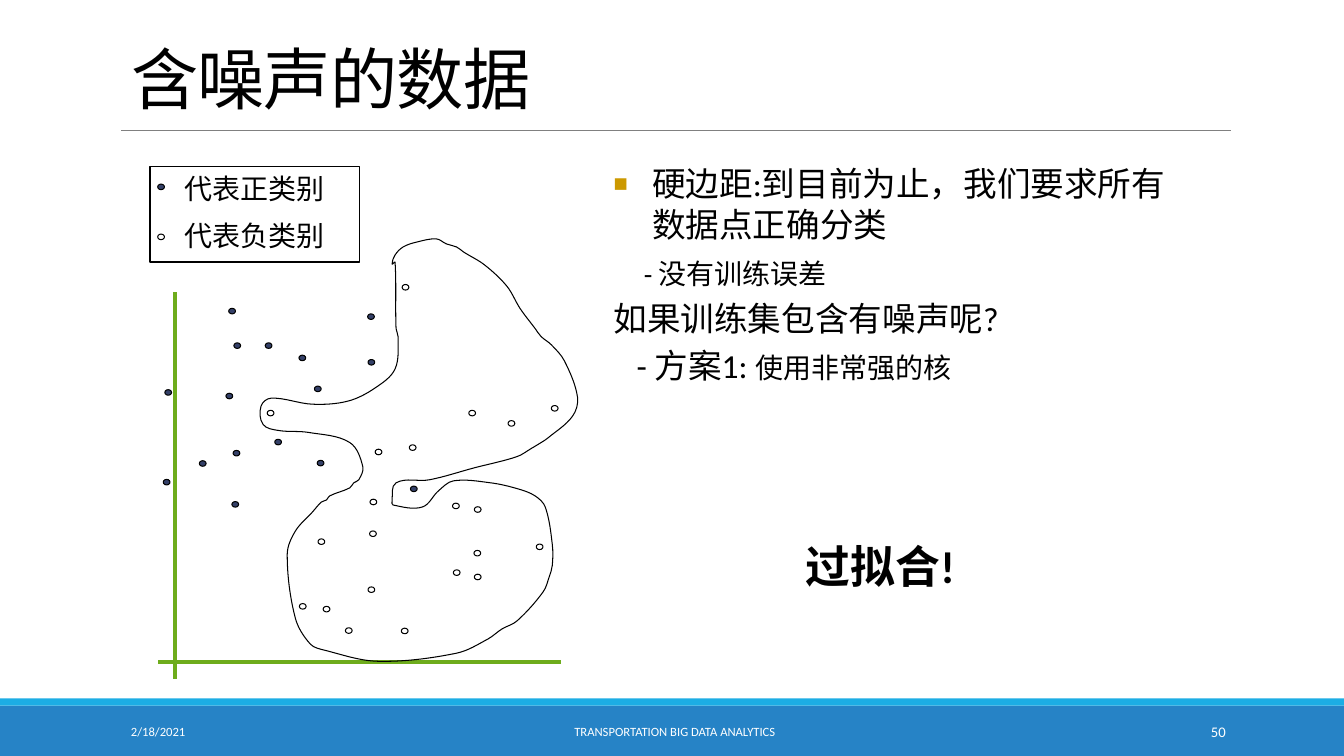
"""Build the slide on noisy data and overfitting."""
from dataclasses import dataclass

from lxml.etree import SubElement
from pptx import Presentation
from pptx.dml.color import RGBColor
from pptx.enum.shapes import MSO_CONNECTOR, MSO_SHAPE
from pptx.enum.text import MSO_ANCHOR, MSO_AUTO_SIZE, PP_ALIGN
from pptx.oxml.ns import qn
from pptx.util import Cm, Pt


@dataclass(frozen=True)
class Theme:
    font: str = "Calibri"
    ink: str = "000000"
    paper: str = "FFFFFF"
    rule: str = "808080"
    footer: str = "2683C6"
    stripe: str = "1CADE4"
    bullet: str = "CC9900"
    axis: str = "6EAC1C"
    positive: str = "344068"
    title: float = 48
    callout: float = 32
    body: float = 24
    detail: float = 20
    number: float = 10.5
    small: float = 9


POSITIVE = [
    (4.2, 12.15), (9.36, 9.13), (6.77, 8.71), (8.08, 11.67), (5.78, 9.98), (5.98, 8.71),
    (5.96, 11.42), (8.01, 9.8), (5.93, 12.71), (9.35, 7.98), (5.85, 7.84), (7.01, 11.14),
    (5.11, 11.68), (7.62, 9.02), (4.24, 9.89), (10.43, 12.32),
]
NEGATIVE = [
    (7.63, 15.28), (9.54, 11.39), (11.49, 12.75), (8.1, 13.65), (13.98, 10.29), (12.03, 13.94),
    (10.4, 11.28), (13.6, 13.78), (8.79, 15.89), (12.04, 12.84), (9.41, 12.65), (12.89, 10.67),
    (11.9, 10.41), (11.51, 14.43), (10.2, 15.9), (9.36, 14.86), (9.4, 13.45), (8.23, 15.35),
    (12.04, 14.54), (6.82, 10.41), (10.22, 7.24),
]
BOUNDARY_UNIT = 0.0254
BOUNDARY = [
    (392, 260), (393, 326), (395, 334), (392, 366), (372, 385), (345, 398), (310, 401),
    (269, 395), (259, 403), (261, 421), (276, 427), (306, 429), (347, 439), (360, 463),
    (356, 476), (351, 479), (347, 484), (327, 492), (324, 496), (319, 498), (310, 508),
    (293, 527), (285, 550), (293, 613), (308, 639), (322, 645), (375, 656), (453, 648),
    (484, 634), (498, 624), (513, 616), (539, 587), (545, 572), (548, 561), (548, 540),
    (541, 503), (531, 492), (514, 485), (487, 479), (450, 477), (435, 487), (419, 503),
    (390, 501), (389, 497), (393, 479), (426, 476), (471, 464), (513, 453), (527, 445),
    (537, 439), (543, 435), (568, 413), (573, 394), (560, 358), (547, 342), (537, 334),
    (531, 326), (516, 306), (503, 284), (481, 263), (460, 250), (453, 245), (443, 242),
    (433, 237), (414, 240), (400, 245), (392, 253), (389, 262),
]


def smooth_controls(corners):
    """Return each segment of a closed curve as two control points and an end."""
    knots = [complex(x, y) for x, y in corners]
    count = len(knots)
    chords = [knots[(i + 1) % count] - knots[i - 1] for i in range(count)]
    headings = [chord / abs(chord) for chord in chords]
    segments = []
    for i, start in enumerate(knots):
        after = (i + 1) % count
        end = knots[after]
        reach = abs(end - start) / 3
        segments.append((start + headings[i] * reach, end - headings[after] * reach, end))
    return segments


class SlideBuilder:
    """Hold the theme and the current slide, and draw its elements."""

    def __init__(self, deck, theme):
        self.theme = theme
        self.slide = deck.slides.add_slide(deck.slide_layouts[1])
        self.shapes = self.slide.shapes

    def style(self, font, size, color=None, **extra):
        font.color.rgb = RGBColor.from_string(color or self.theme.ink)
        for name, value in {"name": self.theme.font, "size": Pt(size), **extra}.items():
            setattr(font, name, value)

    def place(self, item, left, top, width, height):
        box = {"left": left, "top": top, "width": width, "height": height}
        for name, value in box.items():
            setattr(item, name, Cm(value))

    def frame(self, item, **formats):
        defaults = {"word_wrap": True, "auto_size": MSO_AUTO_SIZE.NONE}
        for name, value in {**defaults, **formats}.items():
            setattr(item.text_frame, name, value)
        return item.text_frame

    def outline(self, item, color, width):
        item.line.color.rgb = RGBColor.from_string(color)
        item.line.width = Pt(width)

    def title(self, text, *box):
        heading = self.shapes.title
        self.place(heading, *box)
        paragraph = self.frame(heading, vertical_anchor=MSO_ANCHOR.BOTTOM).paragraphs[0]
        paragraph.alignment = PP_ALIGN.LEFT
        paragraph.line_spacing = 0.85
        run = paragraph.add_run()
        run.text = text
        self.style(run.font, self.theme.title)
        run.font._element.set("spc", "-50")

    def body(self, items, *box):
        points = self.slide.placeholders[1]
        self.place(points, *box)
        frame = self.frame(points, vertical_anchor=MSO_ANCHOR.TOP)
        for i, (indent, bulleted, gap, runs) in enumerate(items):
            paragraph = frame.add_paragraph() if i else frame.paragraphs[0]
            self.bullet(paragraph, indent, bulleted)
            paragraph.space_before = Pt(gap)
            for text, size in runs:
                run = paragraph.add_run()
                run.text = text
                self.style(run.font, size)

    def bullet(self, paragraph, indent, bulleted):
        props = paragraph._p.get_or_add_pPr()
        props.set("marL", str(Cm(indent)))
        props.set("indent", str(Cm(-indent if bulleted else 0)))
        if not bulleted:
            SubElement(props, qn("a:buNone"))
            return
        SubElement(SubElement(props, qn("a:buClr")), qn("a:srgbClr"), val=self.theme.bullet)
        SubElement(props, qn("a:buSzPct"), val="45000")
        SubElement(props, qn("a:buFont"), typeface=self.theme.font)
        SubElement(props, qn("a:buChar"), char="■")

    def label(self, text, box, size, color=None, align=PP_ALIGN.CENTER, wrap=True, **extra):
        note = self.shapes.add_textbox(*map(Cm, box))
        frame = self.frame(note, vertical_anchor=MSO_ANCHOR.MIDDLE, word_wrap=wrap)
        paragraph = frame.paragraphs[0]
        paragraph.text = text
        paragraph.alignment = align
        self.style(paragraph.font, size, color, **extra)

    def shape(self, kind, box, fill=None, line=None, width=0.75):
        item = self.shapes.add_shape(kind, *map(Cm, box))
        item.shadow.inherit = False
        if fill:
            item.fill.solid()
            item.fill.fore_color.rgb = RGBColor.from_string(fill)
        else:
            item.fill.background()
        if line:
            self.outline(item, line, width)
        else:
            item.line.fill.background()
        return item

    def legend(self, entries, *box):
        key = self.shape(MSO_SHAPE.RECTANGLE, box, line=self.theme.ink, width=1)
        frame = self.frame(key, vertical_anchor=MSO_ANCHOR.TOP)
        for i, entry in enumerate(entries):
            paragraph = frame.add_paragraph() if i else frame.paragraphs[0]
            paragraph.text = entry
            paragraph.alignment = PP_ALIGN.CENTER
            paragraph.space_before = Pt(10 if i else 0)
            self.style(paragraph.font, self.theme.detail)

    def dots(self, centres, fill, width=0.17, height=0.14):
        for x, y in centres:
            box = (x - width / 2, y - height / 2, width, height)
            self.shape(MSO_SHAPE.OVAL, box, fill, self.theme.ink)

    def line(self, ends, color, width):
        rule = self.shapes.add_connector(MSO_CONNECTOR.STRAIGHT, *map(Cm, ends))
        self.outline(rule, color, width)
        SubElement(rule._element.spPr, qn("a:effectLst"))

    def loop(self, corners, unit):
        knots = [(Cm(x * unit), Cm(y * unit)) for x, y in corners]
        builder = self.shapes.build_freeform(*knots[0])
        builder.add_line_segments(knots[1:] + knots[:1], close=True)
        boundary = builder.convert_to_shape()
        boundary.shadow.inherit = False
        boundary.fill.background()
        self.outline(boundary, self.theme.ink, 0.75)
        strokes = list(boundary._element.iter(qn("a:lnTo")))
        for stroke, points in zip(strokes, smooth_controls(knots)):
            curve = SubElement(stroke.getparent(), qn("a:cubicBezTo"))
            for point in points:
                x, y = round(point.real - boundary.left), round(point.imag - boundary.top)
                SubElement(curve, qn("a:pt"), x=str(x), y=str(y))
            stroke.getparent().replace(stroke, curve)


def main():
    deck = Presentation()
    deck.slide_width, deck.slide_height = Cm(33.87), Cm(19.05)
    theme = Theme()
    page = SlideBuilder(deck, theme)

    page.shape(MSO_SHAPE.RECTANGLE, (0, 17.78, 33.87, 1.27), theme.footer)
    page.shape(MSO_SHAPE.RECTANGLE, (0, 17.6, 33.87, 0.18), theme.stripe)
    page.line((3.05, 3.28, 31.01, 3.28), theme.rule, 0.5)
    for text, left, width, size, align in [
        ("2/18/2021", 3.05, 6.86, theme.small, PP_ALIGN.LEFT),
        ("TRANSPORTATION BIG DATA ANALYTICS", 10.31, 13.39, theme.small, PP_ALIGN.CENTER),
        ("50", 27.51, 3.63, theme.number, PP_ALIGN.RIGHT),
    ]:
        page.label(text, (left, 17.93, width, 1.02), size, theme.paper, align)

    page.title("含噪声的数据", 3.05, 0.33, 27.94, 2.77)
    page.body([
        (0.97, True, 0, [("硬边距:到目前为止，我们要求所有数据点正确分类", theme.body)]),
        (0.76, False, 9.2, [("- 没有训练误差", theme.detail)]),
        (0, False, 5, [("如果训练集包含有噪声呢?", theme.body)]),
        (0.58, False, 5, [("- 方案1: ", theme.body), ("使用非常强的核", theme.detail)]),
    ], 15.21, 3.99, 15.14, 12.27)

    page.legend(["代表正类别", "代表负类别"], 3.78, 4.19, 5.28, 2.41)
    page.line((4.42, 7.37, 4.42, 17.12), theme.axis, 3)
    page.line((3.99, 16.69, 14.15, 16.69), theme.axis, 3)
    page.dots([(4.06, 4.71), *POSITIVE], theme.positive)
    page.dots([(4.06, 5.97), *NEGATIVE], theme.paper)
    page.label("过拟合!", (18.8, 12.88, 6.78, 2.74), theme.callout, wrap=False, bold=True)
    page.loop(BOUNDARY, BOUNDARY_UNIT)
    deck.save("out.pptx")


if __name__ == "__main__":
    main()
